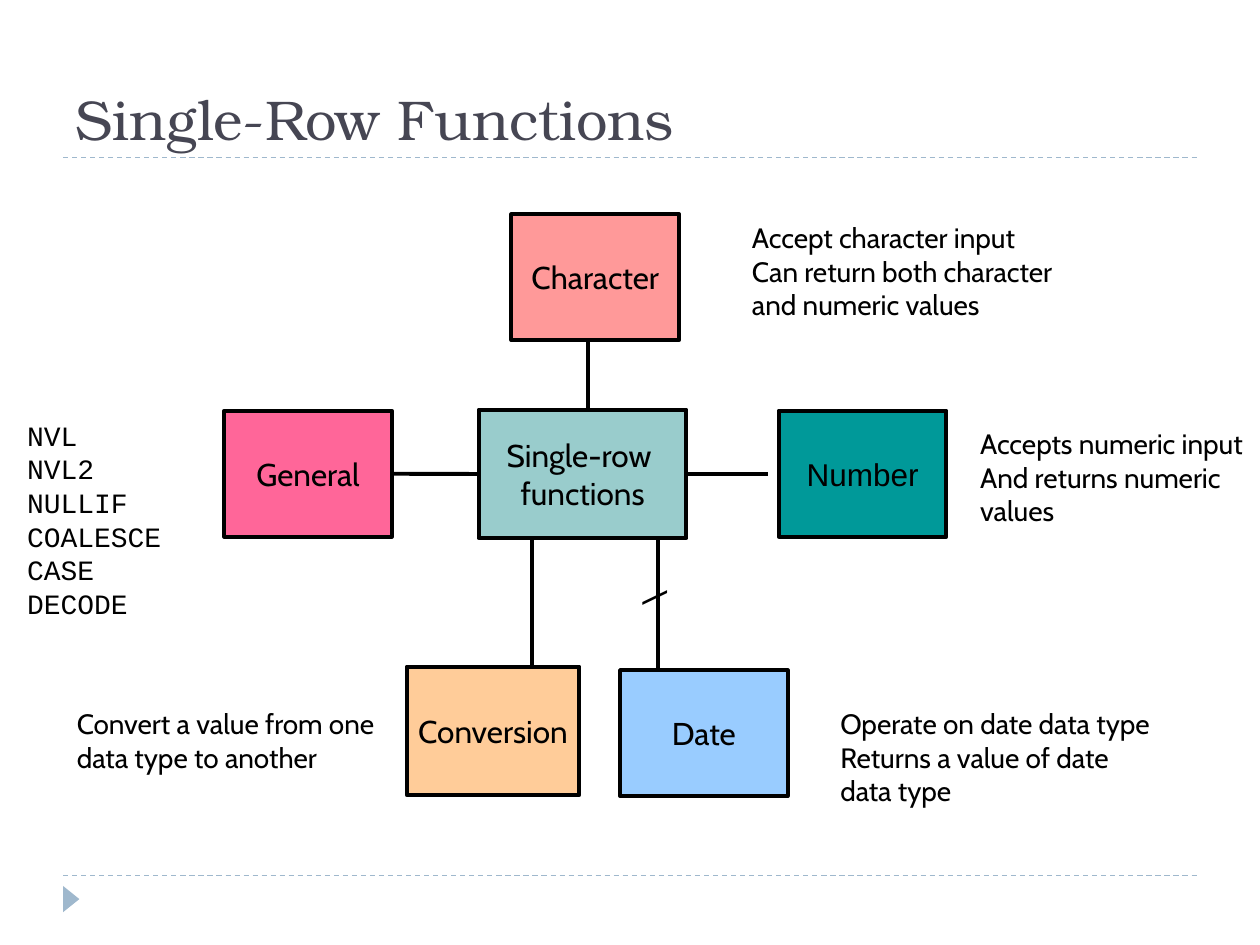
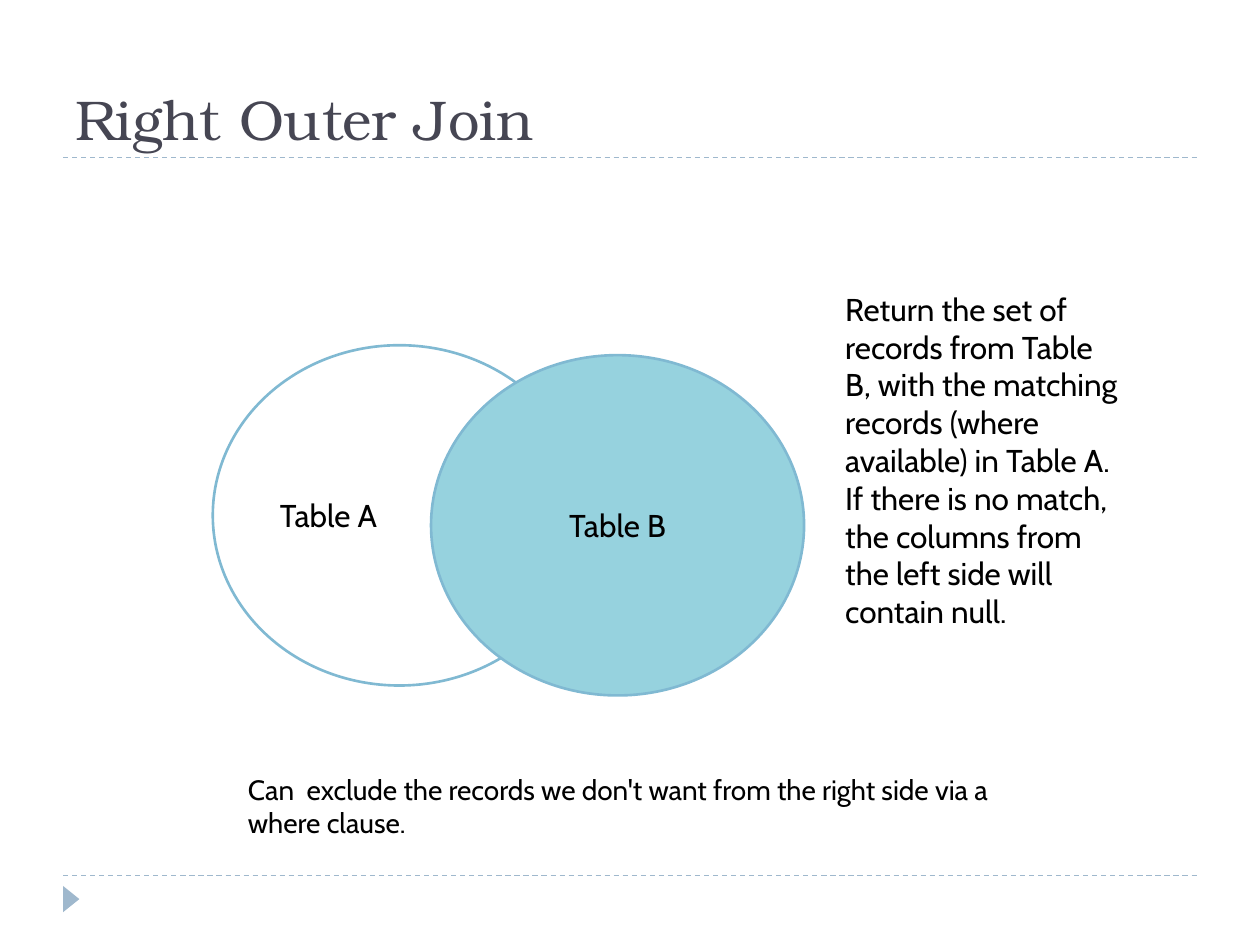
from dataclasses import dataclass
from typing import Optional

from pptx import Presentation
from pptx.dml.color import RGBColor
from pptx.enum.dml import MSO_LINE
from pptx.enum.shapes import MSO_CONNECTOR, MSO_SHAPE
from pptx.enum.text import MSO_ANCHOR, PP_ALIGN
from pptx.oxml.ns import qn
from pptx.shapes.autoshape import Shape
from pptx.shapes.connector import Connector
from pptx.slide import Slide
from pptx.text.text import TextFrame
from pptx.util import Cm, Pt

BLACK = RGBColor(0x00, 0x00, 0x00)
SLATE = RGBColor(0x46, 0x46, 0x53)
PALE_BLUE = RGBColor(0x9F, 0xB8, 0xCD)
ORANGE = RGBColor(0xFF, 0xCC, 0x99)
SALMON = RGBColor(0xFF, 0x99, 0x99)
TEAL = RGBColor(0x00, 0x99, 0x99)
SKY = RGBColor(0x99, 0xCC, 0xFF)
PINK = RGBColor(0xFF, 0x66, 0x99)
SAGE = RGBColor(0x99, 0xCC, 0xCC)
AQUA = RGBColor(0x96, 0xD2, 0xDE)
AQUA_EDGE = RGBColor(0x80, 0xB9, 0xD2)

TITLE_FONT = "TeX Gyre Bonum"
BODY_FONT = "Cabin"
CODE_FONT = "Courier New"
RULE_LEFT, RULE_RIGHT = 1.27, 24.13
RULE_TOPS = (3.18, 17.65)


@dataclass(frozen=True)
class Node:
    """A labelled shape; places and sizes are in centimetres."""
    lines: tuple[str, ...]
    left: float
    top: float
    fill: Optional[RGBColor]
    width: float = 3.38
    height: float = 2.54
    font: str = BODY_FONT
    kind: MSO_SHAPE = MSO_SHAPE.RECTANGLE
    edge: RGBColor = BLACK
    edge_width: float = 2.25
    align: PP_ALIGN = PP_ALIGN.CENTER
    wrap: bool = False


@dataclass(frozen=True)
class Note:
    """A free text box; places and sizes are in centimetres."""
    lines: tuple[str, ...]
    left: float
    top: float
    width: float
    height: float
    size: int = 16
    font: str = BODY_FONT


CHARACTER = Node(("Character",), 10.31, 4.32, SALMON)
GENERAL = Node(("General",), 4.52, 8.28, PINK)
HUB = Node(("Single-row ", "functions"), 9.65, 8.26, SAGE, 4.19, 2.59)
NUMBER = Node(("Number",), 15.7, 8.28, TEAL, font="Arial")
CONVERSION = Node(("Conversion",), 8.2, 13.44, ORANGE, 3.48, 2.59)
DATE = Node(("Date",), 12.5, 13.51, SKY)

FUNCTION_NOTES = (
    Note(("Accept character input", "Can return both character and numeric values"),
         14.91, 4.32, 7.01, 2.31),
    Note(("Accepts numeric input", "And returns numeric values"), 19.51, 8.48, 5.89, 2.31),
    Note(("Operate on date data type", "Returns a value of date data type"),
         16.69, 14.12, 7.01, 2.31),
    Note(("Convert a value from one data type to another",), 1.3, 14.12, 7.01, 1.63),
    Note(("NVL", "NVL2", "NULLIF", "COALESCE", "CASE", "DECODE"),
         0.3, 8.31, 3.4, 4.37, font=CODE_FONT),
)

CIRCLE = dict(width=7.52, height=6.86, kind=MSO_SHAPE.OVAL, edge=AQUA_EDGE,
              edge_width=1.5, wrap=True)
TABLES = (
    Node(("Table A",), 4.29, 6.96, None, align=PP_ALIGN.LEFT, **CIRCLE),
    Node(("Table B",), 8.69, 7.16, AQUA, **CIRCLE),
)

JOIN_NOTES = (
    Note(("Return the set of records from Table B, with the matching records "
          "(where available) in Table A.",
          "If there is no match, the columns from the left side will contain null."),
         16.79, 5.72, 6.02, 8.1, size=18),
    Note(("Can  exclude the records we don't want from the right side via a where clause.",),
         4.75, 15.44, 16.54, 1.63),
)


def write_lines(frame: TextFrame, lines: tuple[str, ...], font: str, size: int,
                color: RGBColor = BLACK, align: PP_ALIGN = PP_ALIGN.LEFT) -> None:
    for index, line in enumerate(lines):
        para = frame.add_paragraph() if index else frame.paragraphs[0]
        para.alignment = align
        span = para.add_run()
        span.text = line
        span.font.name = font
        span.font.size = Pt(size)
        span.font.color.rgb = color


def add_line(page: Slide, x1: float, y1: float, x2: float, y2: float,
             color: RGBColor = BLACK, width: float = 2.25) -> Connector:
    line = page.shapes.add_connector(MSO_CONNECTOR.STRAIGHT, Cm(x1), Cm(y1), Cm(x2), Cm(y2))
    line.line.color.rgb = color
    line.line.width = Pt(width)
    properties = line._element.spPr
    properties.append(properties.makeelement(qn("a:effectLst"), {}))
    return line


def add_node(page: Slide, node: Node) -> Shape:
    box = page.shapes.add_shape(node.kind, Cm(node.left), Cm(node.top),
                                Cm(node.width), Cm(node.height))
    box.shadow.inherit = False
    if node.fill is None:
        box.fill.background()
    else:
        box.fill.solid()
        box.fill.fore_color.rgb = node.fill
    box.line.color.rgb = node.edge
    box.line.width = Pt(node.edge_width)
    frame = box.text_frame
    frame.word_wrap = node.wrap
    frame.vertical_anchor = MSO_ANCHOR.MIDDLE
    write_lines(frame, node.lines, node.font, 18, align=node.align)
    return box


def add_note(page: Slide, note: Note) -> None:
    box = page.shapes.add_textbox(Cm(note.left), Cm(note.top), Cm(note.width), Cm(note.height))
    box.text_frame.word_wrap = True
    write_lines(box.text_frame, note.lines, note.font, note.size)


def add_page(deck: Presentation, title: str) -> Slide:
    """Add a page with the shared title style, dashed rules and corner marker."""
    page = deck.slides.add_slide(deck.slide_layouts[5])
    for top in RULE_TOPS:
        rule = add_line(page, RULE_LEFT, top, RULE_RIGHT, top, PALE_BLUE, 0.75)
        rule.line.dash_style = MSO_LINE.DASH
    marker = page.shapes.add_shape(MSO_SHAPE.ISOSCELES_TRIANGLE,
                                   Cm(1.17), Cm(17.96), Cm(0.53), Cm(0.33))
    marker.rotation = 90
    marker.shadow.inherit = False
    marker.fill.solid()
    marker.fill.fore_color.rgb = PALE_BLUE
    marker.line.fill.background()

    heading = page.shapes.title
    heading.left, heading.top = Cm(RULE_LEFT), Cm(0.64)
    heading.width, heading.height = Cm(22.86), Cm(2.54)
    heading.text_frame.vertical_anchor = MSO_ANCHOR.BOTTOM
    write_lines(heading.text_frame, (title,), TITLE_FONT, 32, SLATE)
    return page


def add_slash(page: Slide, center_x: float, center_y: float) -> None:
    """Put the turned backslash across the line to Date."""
    width, height = 2.0, 1.0
    box = page.shapes.add_textbox(Cm(center_x - width / 2), Cm(center_y - height / 2),
                                  Cm(width), Cm(height))
    box.rotation = 90
    box.text_frame.word_wrap = False
    box.text_frame.vertical_anchor = MSO_ANCHOR.MIDDLE
    write_lines(box.text_frame, ("\\",), BODY_FONT, 18, align=PP_ALIGN.CENTER)


def build_functions_page(deck: Presentation) -> None:
    page = add_page(deck, "Single-Row Functions")
    for node in (CONVERSION, CHARACTER, NUMBER, DATE):
        add_node(page, node)
    general = add_node(page, GENERAL)
    hub = add_node(page, HUB)

    hub_right = HUB.left + HUB.width
    hub_bottom = HUB.top + HUB.height
    middle = HUB.top + HUB.height / 2
    add_line(page, 11.86, CHARACTER.top + CHARACTER.height, 11.86, HUB.top)
    add_line(page, 10.72, hub_bottom, 10.72, CONVERSION.top)
    add_line(page, 13.26, hub_bottom, 13.26, DATE.top)
    to_general = add_line(page, HUB.left, middle, GENERAL.left + GENERAL.width, middle)
    to_general.begin_connect(hub, 1)
    to_general.end_connect(general, 3)
    to_number = add_line(page, hub_right, middle, 15.49, middle)
    to_number.begin_connect(hub, 3)
    add_slash(page, 13.26, 12.05)

    for note in FUNCTION_NOTES:
        add_note(page, note)


def build_join_page(deck: Presentation) -> None:
    page = add_page(deck, "Right Outer Join")
    for table in TABLES:
        add_node(page, table)
    for note in JOIN_NOTES:
        add_note(page, note)


def main() -> None:
    deck = Presentation()
    deck.slide_width, deck.slide_height = Cm(25.4), Cm(19.05)
    build_functions_page(deck)
    build_join_page(deck)
    deck.save("out.pptx")


if __name__ == "__main__":
    main()
